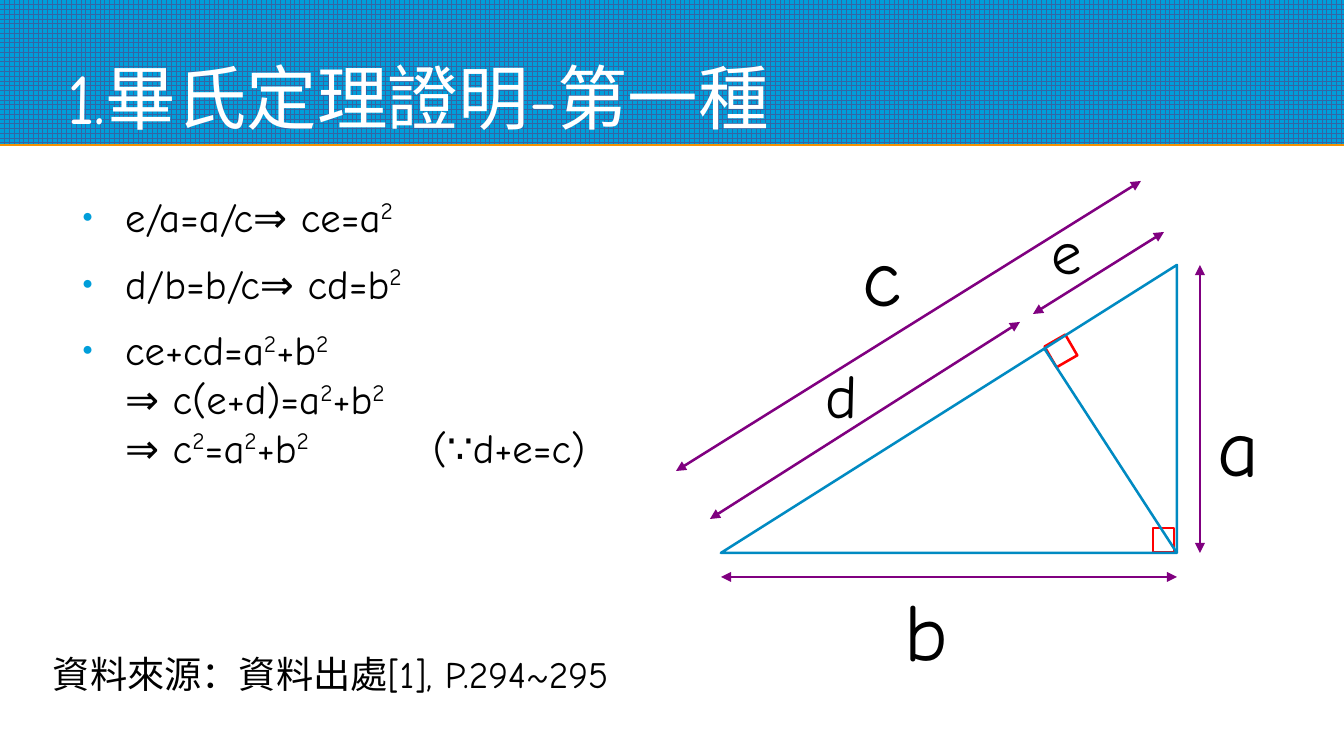
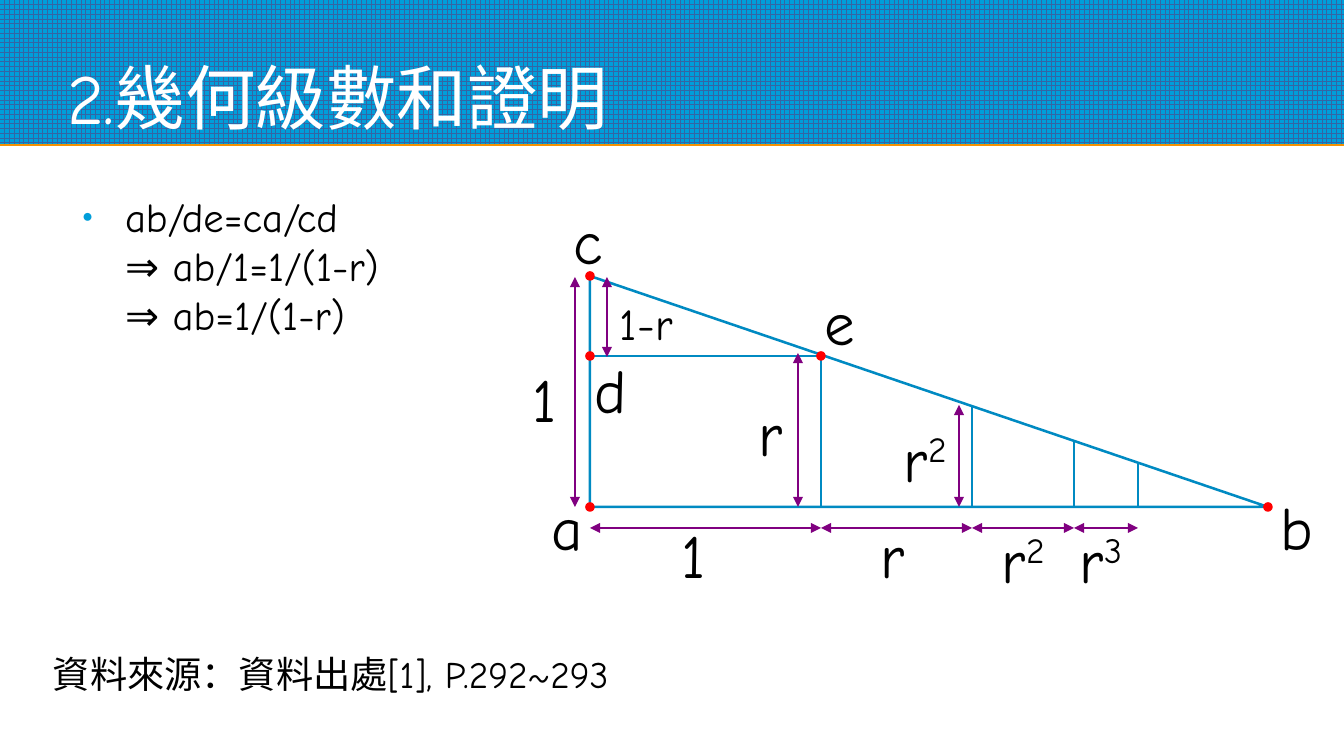
from itertools import groupby, pairwise

from lxml import etree
from pptx import Presentation
from pptx.dml.color import RGBColor
from pptx.enum.dml import MSO_PATTERN
from pptx.enum.shapes import MSO_CONNECTOR, MSO_SHAPE
from pptx.enum.text import MSO_ANCHOR, MSO_AUTO_SIZE, PP_ALIGN
from pptx.oxml.ns import qn
from pptx.util import Emu, Pt

STRAIGHT = MSO_CONNECTOR.STRAIGHT
RECTANGLE = MSO_SHAPE.RECTANGLE
OVAL = MSO_SHAPE.OVAL
RIGHT_TRIANGLE = MSO_SHAPE.RIGHT_TRIANGLE
TOP, MIDDLE, BOTTOM = MSO_ANCHOR.TOP, MSO_ANCHOR.MIDDLE, MSO_ANCHOR.BOTTOM
LEFT = PP_ALIGN.LEFT
NO_AUTOFIT = MSO_AUTO_SIZE.NONE
LARGE_GRID = MSO_PATTERN.LARGE_GRID

EMU_PER_PX = 914400 / 122
WIDTH, HEIGHT = 1344, 756
BAND_HEIGHT = 144
FONT = "Comic Neue"
WHITE, BLACK, RED = "FFFFFF", "000000", "FF0000"
BLUE, GRID_BLUE, ORANGE = "009EDA", "3465A4", "F49100"
OUTLINE_BLUE, PURPLE = "008AC2", "800080"
SUPERSCRIPTS = {"²": "2", "³": "3"}

TITLE_BOX = (67, 12, 1210, 127)
BODY_BOX = (67, 192, 581, 467)
SOURCE_BOX = (48, 642, 744, 63)
LABEL_WIDTH, LABEL_HEIGHT = 66, 80
DOT = 7

PYTHAGORAS = {
    "title": "1.畢氏定理證明-第一種",
    "body": [
        "e/a=a/c⇒ ce=a²",
        "d/b=b/c⇒ cd=b²",
        "ce+cd=a²+b²\n⇒ c(e+d)=a²+b²\n⇒ c²=a²+b²\t\t(∵d+e=c)",
    ],
    "source": "資料來源：資料出處[1], P.294~295",
}
PYTHAGORAS_LABELS = [
    ("b", 900, 629, 48),
    ("a", 1213, 444, 48),
    ("e", 1047, 250, 36),
    ("d", 821, 394, 36),
    ("c", 858, 274, 48),
]
PYTHAGORAS_ARROWS = [
    (721, 577, 1177, 577),
    (1200, 553, 1200, 265),
    (1033, 314, 1164, 232),
    (710, 519, 1020, 322),
    (676, 471, 1141, 181),
]

SERIES = {
    "title": "2.幾何級數和證明",
    "body": ["ab/de=ca/cd\n⇒ ab/1=1/(1-r)\n⇒ ab=1/(1-r)"],
    "source": "資料來源：資料出處[1], P.292~293",
}
SERIES_LABELS = [
    ("a", 547, 526, 36),
    ("b", 1276, 526, 36),
    ("c", 569, 240, 36),
    ("d", 590, 389, 36),
    ("e", 820, 321, 36),
    ("1", 677, 554, 36),
    ("r", 876, 554, 36),
    ("r²", 997, 559, 36),
    ("r³", 1075, 559, 36),
    ("r", 754, 432, 36),
    ("1", 528, 398, 36),
    ("r²", 899, 458, 36),
    ("1-r", 615, 323, 26),
]
SERIES_TRIANGLE = (590, 276, 678, 231)
SERIES_STOPS = [590, 821, 972, 1074, 1138]
SERIES_HEIGHT_ARROWS = [
    (798, 507, 798, 353),
    (575, 507, 575, 277),
    (959, 507, 959, 405),
    (607, 357, 607, 277),
]
SERIES_SCALE_Y = 528


def px(value):
    return Emu(round(value * EMU_PER_PX))


def color(value):
    return RGBColor.from_string(value)


def add_bullet(paragraph):
    properties = paragraph._p.get_or_add_pPr()
    properties.set("marL", str(px(58)))
    properties.set("indent", str(-px(43)))
    properties.set("defTabSz", "914400")
    bullet_color = etree.SubElement(properties, qn("a:buClr"))
    etree.SubElement(bullet_color, qn("a:srgbClr")).set("val", BLUE)
    etree.SubElement(properties, qn("a:buSzPct")).set("val", "45000")
    etree.SubElement(properties, qn("a:buFont")).set("typeface", "Arial")
    etree.SubElement(properties, qn("a:buChar")).set("char", "●")


def add_runs(paragraph, text, size, fill):
    for raised, letters in groupby(text, key=lambda letter: letter in SUPERSCRIPTS):
        run = paragraph.add_run()
        run.text = "".join(SUPERSCRIPTS.get(letter, letter) for letter in letters)
        run.font.size = Pt(size)
        run.font.name = FONT
        run.font.color.rgb = color(fill)
        properties = run._r.get_or_add_rPr()
        for script in ("a:ea", "a:cs"):
            etree.SubElement(properties, qn(script)).set("typeface", FONT)
        if raised:
            properties.set("baseline", "33000")


def write_text(shape, texts, size=24, fill=BLACK, anchor=MIDDLE, inset=5,
               bullets=False, space_after=0):
    frame = shape.text_frame
    frame.word_wrap = True
    frame.auto_size = NO_AUTOFIT
    frame.vertical_anchor = anchor
    frame.margin_left = frame.margin_right = px(inset)
    frame.margin_top = frame.margin_bottom = px(inset)
    for index, text in enumerate(texts):
        paragraph = frame.add_paragraph() if index else frame.paragraphs[0]
        if bullets:
            add_bullet(paragraph)
        paragraph.alignment = LEFT
        paragraph.space_before = Pt(0)
        paragraph.space_after = Pt(space_after)
        for number, line in enumerate(text.split("\n")):
            if number:
                paragraph.add_line_break()
            add_runs(paragraph, line, size, fill)


def place(shape, box):
    shape.left, shape.top, shape.width, shape.height = map(px, box)


def add_text(slide, text, box, **style):
    write_text(slide.shapes.add_textbox(*map(px, box)), [text], **style)


def add_labels(slide, labels):
    for text, left, center, size in labels:
        box = (left, center - LABEL_HEIGHT / 2, LABEL_WIDTH, LABEL_HEIGHT)
        add_text(slide, text, box, size=size)


def add_figure(slide, kind, box, fill=None, line=None, flip=False, rotation=0):
    shape = slide.shapes.add_shape(kind, *map(px, box))
    shape.shadow.inherit = False
    shape.rotation = rotation
    if fill:
        shape.fill.solid()
        shape.fill.fore_color.rgb = color(fill)
    else:
        shape.fill.background()
    if line:
        shape.line.color.rgb = color(line)
        shape.line.width = Pt(1.5)
    else:
        shape.line.fill.background()
    if flip:
        shape._element.spPr.find(qn("a:xfrm")).set("flipH", "1")
    return shape


def add_line(slide, ends, fill=OUTLINE_BLUE, arrows=False):
    connector = slide.shapes.add_connector(STRAIGHT, *map(px, ends))
    connector.line.color.rgb = color(fill)
    connector.line.width = Pt(1.5)
    properties = connector._element.spPr
    if arrows:
        outline = properties.find(qn("a:ln"))
        for end in ("a:headEnd", "a:tailEnd"):
            etree.SubElement(outline, qn(end)).set("type", "triangle")
    etree.SubElement(properties, qn("a:effectLst"))


def add_arrows(slide, arrows):
    for ends in arrows:
        add_line(slide, ends, fill=PURPLE, arrows=True)


def move_band_to_layout(slide):
    edge = add_figure(slide, RECTANGLE, (0, 2, WIDTH, BAND_HEIGHT), fill=ORANGE)
    band = add_figure(slide, RECTANGLE, (0, 0, WIDTH, BAND_HEIGHT))
    band.fill.patterned()
    band.fill.pattern = LARGE_GRID
    band.fill.fore_color.rgb = color(GRID_BLUE)
    band.fill.back_color.rgb = color(BLUE)
    tree = slide.slide_layout.shapes._spTree
    for index, shape in enumerate((edge, band), start=2):
        tree.insert(index, shape._element)


def add_proof_slide(presentation, content):
    slide = presentation.slides.add_slide(presentation.slide_layouts[1])
    title, body = slide.shapes.title, slide.placeholders[1]
    place(title, TITLE_BOX)
    write_text(title, [content["title"]], size=41.6, fill=WHITE, anchor=BOTTOM, inset=0)
    place(body, BODY_BOX)
    write_text(body, content["body"], anchor=TOP, inset=0, bullets=True, space_after=10.5)
    add_text(slide, content["source"], SOURCE_BOX, size=22)
    return slide


def draw_pythagoras(slide):
    add_figure(slide, RECTANGLE, (1049, 339, 24, 24), line=RED, rotation=330)
    add_figure(slide, RECTANGLE, (1153, 528, 21, 24), line=RED)
    add_figure(slide, RIGHT_TRIANGLE, (721, 265, 456, 288), line=OUTLINE_BLUE, flip=True)
    add_line(slide, (1177, 553, 1044, 348))
    add_arrows(slide, PYTHAGORAS_ARROWS)
    add_labels(slide, PYTHAGORAS_LABELS)


def draw_series(slide):
    left, top, width, height = SERIES_TRIANGLE
    base = top + height
    add_figure(slide, RIGHT_TRIANGLE, SERIES_TRIANGLE, line=OUTLINE_BLUE)
    for stop in SERIES_STOPS[1:]:
        add_line(slide, (stop, base, stop, top + height * (stop - left) / width))
    first = SERIES_STOPS[1]
    shelf = 356
    add_line(slide, (left, shelf, first, shelf))
    add_arrows(slide, [(start, SERIES_SCALE_Y, end, SERIES_SCALE_Y)
                       for start, end in pairwise(SERIES_STOPS)])
    add_arrows(slide, SERIES_HEIGHT_ARROWS)
    points = [(left, base), (left + width, base), (left, top), (left, shelf), (first, shelf)]
    for x, y in points:
        add_figure(slide, OVAL, (x - DOT / 2, y - DOT / 2, DOT, DOT), fill=RED, line=RED)
    add_labels(slide, SERIES_LABELS)


def main():
    presentation = Presentation()
    presentation.slide_width, presentation.slide_height = px(WIDTH), px(HEIGHT)
    pythagoras = add_proof_slide(presentation, PYTHAGORAS)
    move_band_to_layout(pythagoras)
    draw_pythagoras(pythagoras)
    draw_series(add_proof_slide(presentation, SERIES))
    presentation.save("out.pptx")


if __name__ == "__main__":
    main()
